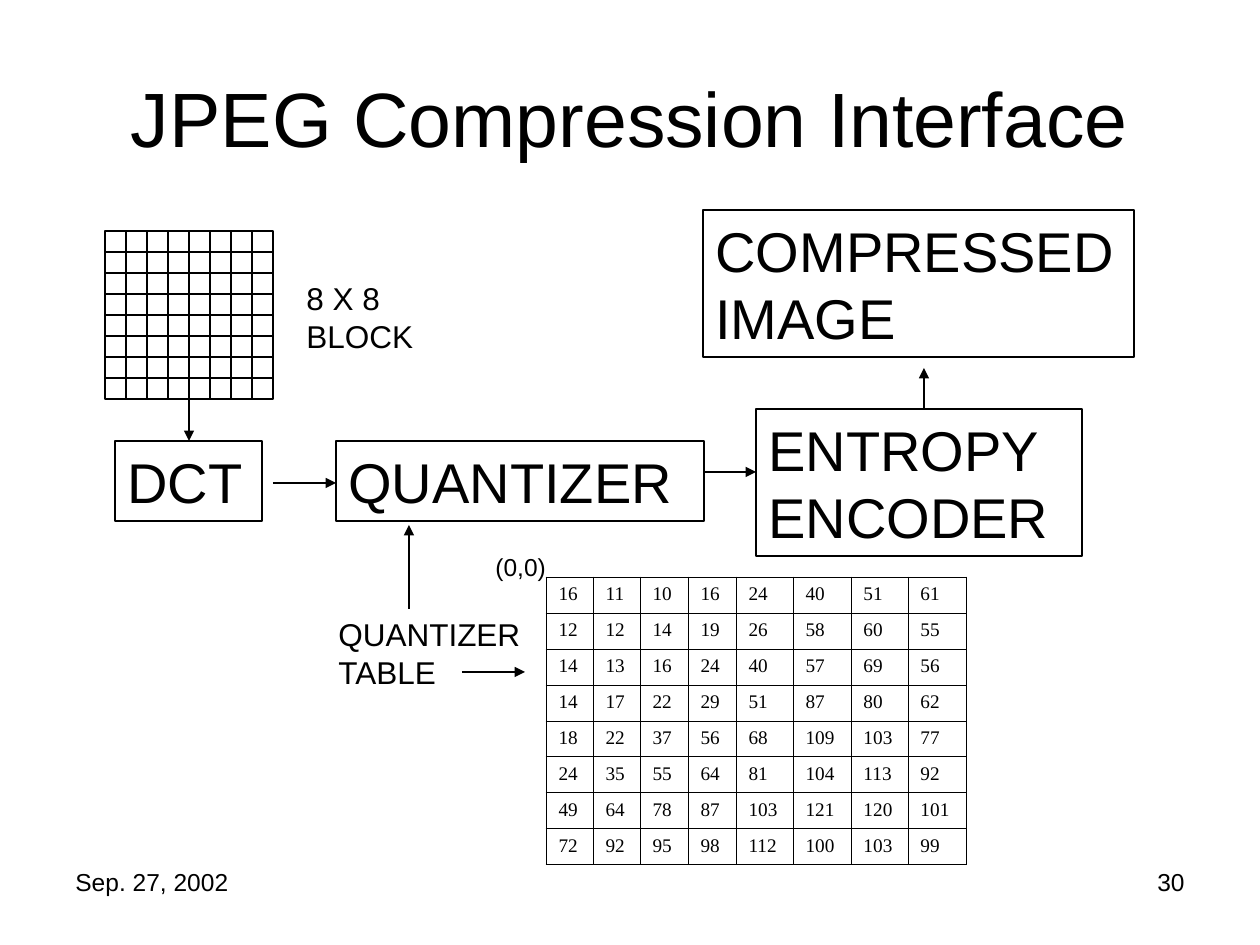
import lxml.etree
import pptx
import pptx.dml.color
import pptx.enum.shapes
import pptx.enum.text
import pptx.oxml.ns
import pptx.util

EMU_PER_PX = 914400 / 126
ALIGN = pptx.enum.text.PP_ALIGN
ANCHOR = pptx.enum.text.MSO_ANCHOR

QUANTIZER_TABLE = [
    [16, 11, 10, 16, 24, 40, 51, 61],
    [12, 12, 14, 19, 26, 58, 60, 55],
    [14, 13, 16, 24, 40, 57, 69, 56],
    [14, 17, 22, 29, 51, 87, 80, 62],
    [18, 22, 37, 56, 68, 109, 103, 77],
    [24, 35, 55, 64, 81, 104, 113, 92],
    [49, 64, 78, 87, 103, 121, 120, 101],
    [72, 92, 95, 98, 112, 100, 103, 99],
]


def px(length):
    return pptx.util.Emu(round(length * EMU_PER_PX))


def color(hex_string):
    return pptx.dml.color.RGBColor.from_string(hex_string)


def add_xml(parent, tag, **attributes):
    return lxml.etree.SubElement(parent, pptx.oxml.ns.qn(tag), attributes)


class Diagram:
    """Holds the black-on-white style and the slide being drawn."""

    ink = "000000"
    font = "Arial"
    table_font = "Times New Roman"
    line_width = 0.75
    border_width = 0.45

    def __init__(self, slide):
        self.slide = slide

    def fill_text(self, frame, text, size, font=None, align=ALIGN.LEFT, anchor=ANCHOR.TOP):
        """Fill a text frame; a newline in the text is a line break."""
        frame.word_wrap = True
        frame.vertical_anchor = anchor
        paragraph = frame.paragraphs[0]
        paragraph.alignment = align
        for index, line in enumerate(text.split("\n")):
            if index:
                paragraph.add_line_break()
            run = paragraph.add_run()
            run.text = line
            run.font.name = font or self.font
            run.font.size = pptx.util.Pt(size)
            run.font.color.rgb = color(self.ink)

    def title(self, text, left, top, width, height):
        holder = self.slide.shapes.title
        holder.left, holder.top = px(left), px(top)
        holder.width, holder.height = px(width), px(height)
        self.fill_text(holder.text_frame, text, 44, align=ALIGN.CENTER, anchor=ANCHOR.MIDDLE)

    def label(self, text, left, top, width, height, size, **layout):
        box = self.slide.shapes.add_textbox(px(left), px(top), px(width), px(height))
        self.fill_text(box.text_frame, text, size, **layout)

    def outline(self, left, top, width, height, shapes=None):
        box = (shapes or self.slide.shapes).add_shape(
            pptx.enum.shapes.MSO_SHAPE.RECTANGLE, px(left), px(top), px(width), px(height))
        box.shadow.inherit = False
        box.fill.background()
        box.line.color.rgb = color(self.ink)
        box.line.width = pptx.util.Pt(self.line_width)
        return box

    def stage(self, text, left, top, width, height):
        box = self.outline(left, top, width, height)
        self.fill_text(box.text_frame, text, 32)

    def line(self, x1, y1, x2, y2, shapes=None):
        connector = (shapes or self.slide.shapes).add_connector(
            pptx.enum.shapes.MSO_CONNECTOR.STRAIGHT, px(x1), px(y1), px(x2), px(y2))
        connector.line.color.rgb = color(self.ink)
        connector.line.width = pptx.util.Pt(self.line_width)
        add_xml(connector._element.spPr, "a:effectLst")
        return connector

    def arrow(self, x1, y1, x2, y2):
        connector = self.line(x1, y1, x2, y2)
        add_xml(connector.line._get_or_add_ln(), "a:tailEnd", type="triangle")

    def pixel_block(self, left, top, step, count):
        """Draw a square grid of count by count pixels as one group."""
        shapes = self.slide.shapes.add_group_shape().shapes
        side = step * count
        self.outline(left, top, side, side, shapes)
        for offset in range(step, side, step):
            self.line(left + offset, top, left + offset, top + side, shapes)
            self.line(left, top + offset, left + side, top + offset, shapes)

    def table(self, values, left, top, column_widths, row_height):
        table = self.slide.shapes.add_table(
            len(values), len(column_widths), px(left), px(top),
            px(sum(column_widths)), px(row_height * len(values))).table
        table.first_row = table.horz_banding = False
        for column, width in zip(table.columns, column_widths):
            column.width = px(width)
        for row, numbers in zip(table.rows, values):
            row.height = px(row_height)
            for cell, number in zip(row.cells, numbers):
                self.fill_text(cell.text_frame, str(number), 11, font=self.table_font)
                self.border(cell)
                cell.fill.background()

    def border(self, cell):
        properties = cell._tc.get_or_add_tcPr()
        width = str(int(pptx.util.Pt(self.border_width)))
        for side in ("a:lnL", "a:lnR", "a:lnT", "a:lnB"):
            edge = add_xml(properties, side, w=width)
            add_xml(add_xml(edge, "a:solidFill"), "a:srgbClr", val=self.ink)


def main():
    presentation = pptx.Presentation()
    presentation.slide_width, presentation.slide_height = px(1260), px(945)
    diagram = Diagram(presentation.slides.add_slide(presentation.slide_layouts[5]))

    diagram.title("JPEG Compression Interface", 63, 38, 1134, 157)
    diagram.pixel_block(105, 231, step=21, count=8)
    diagram.label("8 X 8 BLOCK", 294, 273, 136, 88, 18)

    diagram.stage("DCT", 115, 441, 147, 80)
    diagram.stage("QUANTIZER", 336, 441, 368, 80)
    diagram.stage("ENTROPY ENCODER", 756, 409, 326, 147)
    diagram.stage("COMPRESSED IMAGE", 703, 210, 431, 147)

    diagram.arrow(189, 399, 189, 441)
    diagram.arrow(273, 483, 336, 483)
    diagram.arrow(704, 472, 756, 472)
    diagram.arrow(924, 409, 924, 368)
    diagram.arrow(409, 609, 409, 525)

    diagram.label("QUANTIZER\nTABLE", 326, 609, 210, 88, 18, anchor=ANCHOR.MIDDLE)
    diagram.arrow(462, 672, 525, 672)
    diagram.table(QUANTIZER_TABLE, 546, 577, [47, 47, 48, 48, 57, 58, 57, 58], 36)
    diagram.label("(0,0)", 483, 546, 94, 43, 14)

    diagram.label("Sep. 27, 2002", 63, 861, 294, 66, 14)
    diagram.label("30", 903, 861, 294, 66, 14, align=ALIGN.RIGHT)

    presentation.save("out.pptx")


if __name__ == "__main__":
    main()
